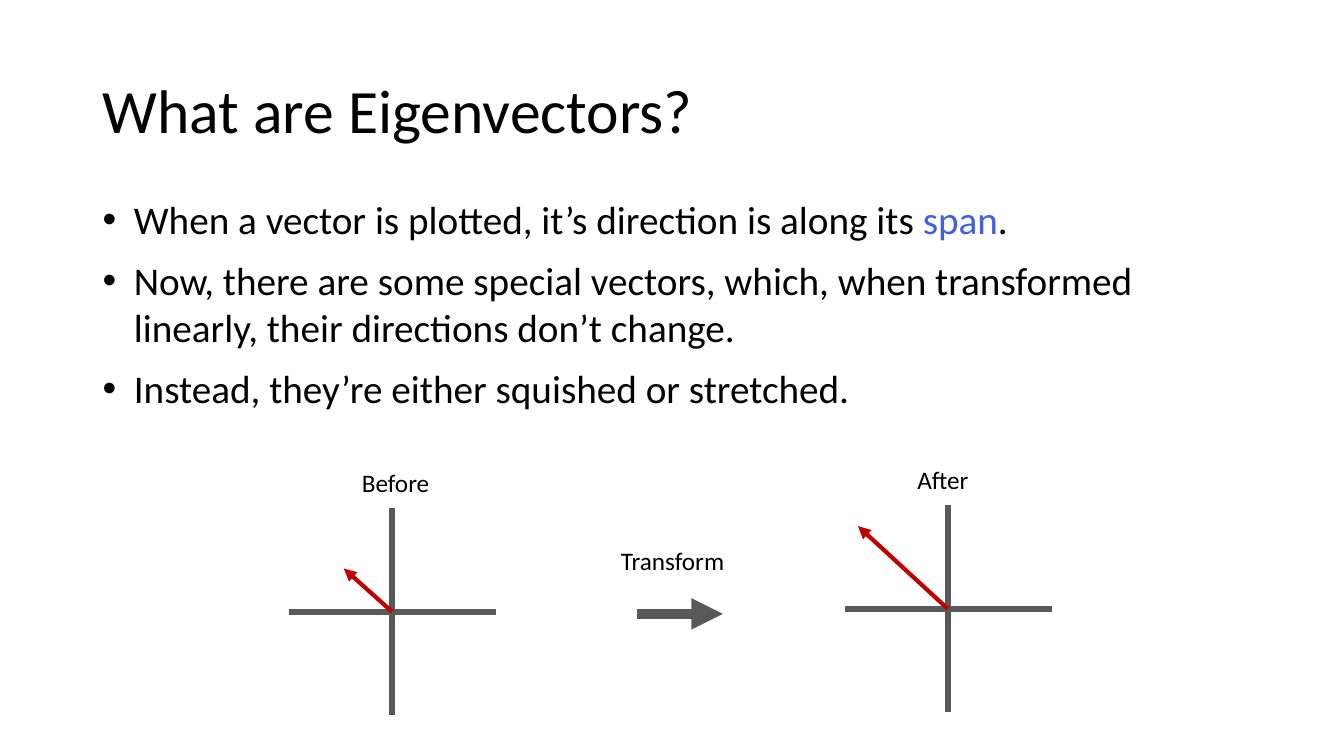
from lxml.etree import SubElement
from pptx import Presentation
from pptx.dml.color import RGBColor
from pptx.enum.shapes import MSO_CONNECTOR
from pptx.enum.text import MSO_ANCHOR, PP_ALIGN
from pptx.oxml.ns import qn
from pptx.util import Pt

PX = 9144
FONT = "Calibri"
COLORS = {"text": "000000", "span": "4161E1", "axis": "595959", "vector": "C00000"}
BULLETS = [
    [("When a vector is plotted, it’s direction is along its ", "text"), ("span", "span"), (".", "text")],
    [("Now, there are some special vectors, which, when transformed linearly, "
      "their directions don’t change.", "text")],
    [("Instead, they’re either squished or stretched.", "text")],
]


def color(name):
    return RGBColor.from_string(COLORS[name])


def place(shape, left, top, width, height):
    shape.left, shape.top = left * PX, top * PX
    shape.width, shape.height = width * PX, height * PX


def format_run(run, size, color_name="text"):
    run.font.name = FONT
    run.font.size = Pt(size)
    run.font.color.rgb = color(color_name)


def add_text_box(slide, left, top, width, height):
    text_box = slide.shapes.add_textbox(left * PX, top * PX, width * PX, height * PX)
    text_box.text_frame.word_wrap = True
    return text_box.text_frame


def add_line(slide, start, end, color_name, width, arrow=False):
    connector = slide.shapes.add_connector(
        MSO_CONNECTOR.STRAIGHT, *(value * PX for value in (*start, *end)))
    connector.line.color.rgb = color(color_name)
    connector.line.width = Pt(width)
    if arrow:
        SubElement(connector.line._get_or_add_ln(), qn("a:tailEnd"), type="triangle")
    SubElement(connector._element.spPr, qn("a:effectLst"))


def add_label(slide, text, left, top):
    text_frame = add_text_box(slide, left, top, 142, 40)
    text_frame.text = text
    format_run(text_frame.paragraphs[0].runs[0], 18)


def add_title(slide, left, top, width, height):
    title = slide.shapes.title
    place(title, left, top, width, height)
    text_frame = title.text_frame
    text_frame.text = "What are Eigenvectors?"
    text_frame.vertical_anchor = MSO_ANCHOR.MIDDLE
    paragraph = text_frame.paragraphs[0]
    paragraph.alignment = PP_ALIGN.LEFT
    paragraph.line_spacing = 0.9
    format_run(paragraph.runs[0], 44)


def add_bullets(slide, left, top, width, height):
    text_frame = add_text_box(slide, left, top, width, height)
    for index, parts in enumerate(BULLETS):
        paragraph = text_frame.add_paragraph() if index else text_frame.paragraphs[0]
        properties = paragraph._p.get_or_add_pPr()
        properties.set("marL", str(31 * PX))
        properties.set("indent", str(-31 * PX))
        if index:
            paragraph.space_before = Pt(10)
        SubElement(properties, qn("a:buFont"), typeface="Arial")
        SubElement(properties, qn("a:buChar"), char="•")
        for text, color_name in parts:
            run = paragraph.add_run()
            run.text = text
            format_run(run, 28, color_name)


def add_plot(slide, left, top, label, vector):
    axis_length, label_offset, axis_top = 205, 62, top + 45
    center_x, center_y = left + 102, axis_top + 103
    add_line(slide, (center_x, axis_top), (center_x, axis_top + axis_length), "axis", 4)
    add_line(slide, (left, center_y), (left + axis_length, center_y), "axis", 4)
    tip = (center_x + vector[0], center_y + vector[1])
    add_line(slide, (center_x, center_y), tip, "vector", 3, arrow=True)
    add_label(slide, label, left + label_offset, top)


def add_transform(slide, left, top):
    add_label(slide, "Transform", left, top)
    add_line(slide, (left + 26, top + 73), (left + 111, top + 73), "axis", 7.5, arrow=True)


def main():
    presentation = Presentation()
    presentation.slide_width, presentation.slide_height = 1333 * PX, 750 * PX
    slide = presentation.slides.add_slide(presentation.slide_layouts[5])
    add_title(slide, 92, 40, 1150, 145)
    add_bullets(slide, 92, 189, 1150, 275)
    add_plot(slide, 287, 459, "Before", (-48, -43))
    add_plot(slide, 838, 456, "After", (-89, -82))
    add_transform(slide, 606, 536)
    presentation.save("out.pptx")


if __name__ == "__main__":
    main()
